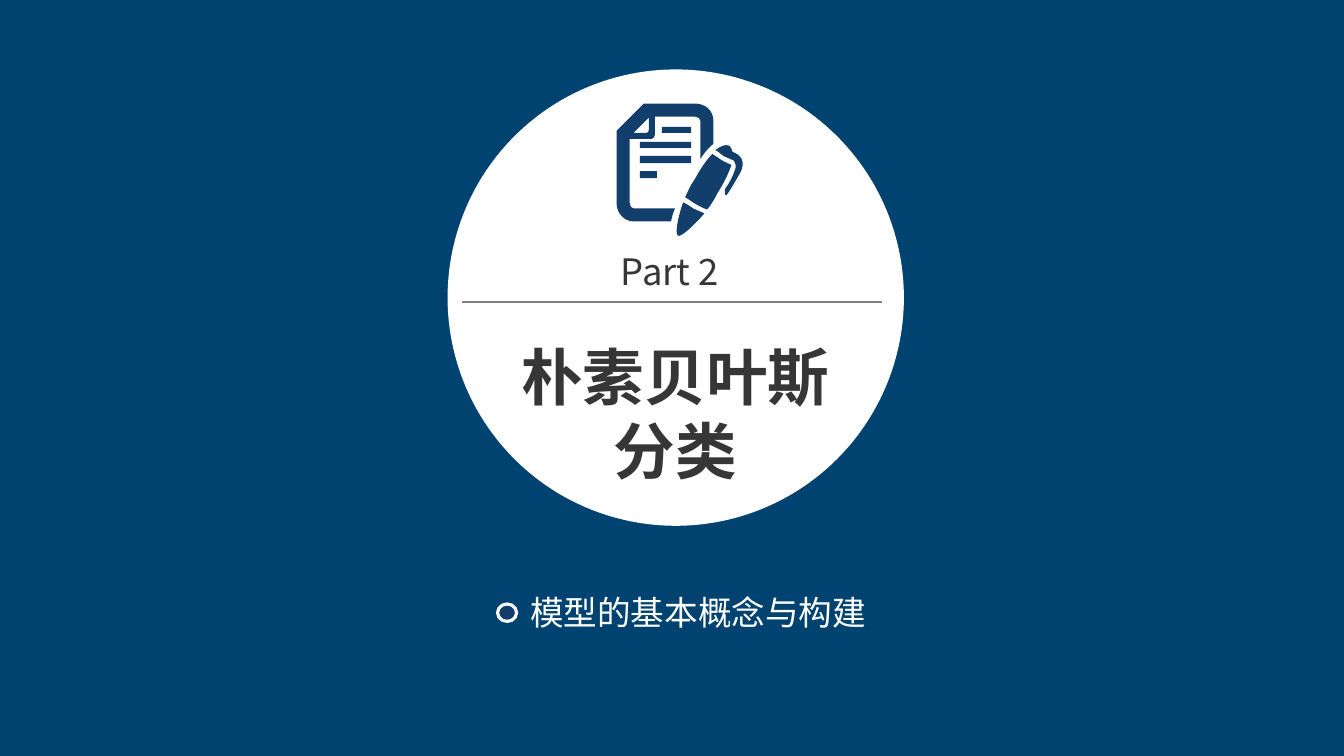
from dataclasses import dataclass

import lxml.etree
import pptx
import pptx.dml.color
import pptx.enum.shapes
import pptx.enum.text
import pptx.oxml.ns
import pptx.util
from pptx.util import Cm

SHAPE = pptx.enum.shapes.MSO_SHAPE
ALIGN = pptx.enum.text.PP_ALIGN


@dataclass(frozen=True)
class Theme:
    font: str = "Noto Sans CJK SC"
    backdrop: str = "009EB0"
    veil: str = "003366"
    navy: str = "113E6A"
    white: str = "FFFFFF"
    ink: str = "363636"
    rule: str = "808080"
    title_size: int = 44
    part_size: int = 26
    topic_size: int = 24


THEME = Theme()

# Icon outlines in hundredths of an inch: pairs are corners, sixes are curves
ICON_UNIT = Cm(0.0254)
PAPER = [(27, 0), (78, 0), (88, 0, 96, 7, 96, 17), (96, 40),
         (90, 45, 87, 49, 83, 55), (83, 17), (83, 15, 81, 13, 78, 13),
         (38, 13), (38, 31), (38, 33, 36, 35, 35, 35), (13, 35), (13, 99),
         (13, 102, 15, 104, 17, 104), (58, 104),
         (56, 108, 55, 112, 54, 117), (17, 117),
         (8, 117, 0, 109, 0, 99), (0, 27)]
FOLD = [(17, 29), (30, 29), (31, 29, 32, 28, 32, 26), (32, 14)]
PEN_CLIP = [(112, 42), (113, 44, 115, 45, 115, 48),
            (118, 49, 122, 51, 124, 55), (126, 59, 125, 64, 123, 68),
            (119, 75, 114, 84, 109, 91), (107, 92, 107, 86, 108, 84),
            (112, 79, 115, 73, 118, 64), (119, 59, 116, 57, 115, 55),
            (115, 55, 115, 55, 115, 56), (112, 55, 109, 53, 106, 52),
            (104, 50, 101, 48, 98, 46), (104, 42, 108, 40, 112, 42)]
PEN_BARREL = [(114, 61), (111, 69, 107, 78, 100, 89),
              (97, 95, 94, 100, 90, 105), (86, 104, 83, 102, 79, 100),
              (75, 98, 72, 95, 68, 93), (71, 87, 73, 81, 77, 76),
              (83, 65, 89, 56, 95, 50), (98, 52, 101, 54, 104, 56),
              (107, 58, 110, 59, 114, 61)]
PEN_NIB = [(87, 109), (75, 123, 63, 133, 61, 131),
           (58, 130, 60, 115, 66, 98), (70, 100, 73, 102, 76, 104),
           (80, 106, 83, 107, 87, 109)]
# Lines of writing: left, top, right, bottom
WRITING = [(45, 23, 74, 29), (23, 38, 74, 44),
           (23, 52, 74, 59), (23, 67, 40, 74)]


def rgb(value):
    return pptx.dml.color.RGBColor.from_string(value)


def add_xml(parent, tag, **attributes):
    return lxml.etree.SubElement(parent, pptx.oxml.ns.qn(tag), **attributes)


def style(shape, fill, line=None, width=0):
    shape.shadow.inherit = False
    shape.fill.solid()
    shape.fill.fore_color.rgb = rgb(fill)
    if line:
        shape.line.color.rgb = rgb(line)
        shape.line.width = pptx.util.Pt(width)
    else:
        shape.line.fill.background()


def add_preset(page, kind, left, top, width, height, fill, line=None, width_pt=0):
    shape = page.shapes.add_shape(kind, Cm(left), Cm(top), Cm(width), Cm(height))
    style(shape, fill, line, width_pt)
    return shape


def add_veil(page, width, height, opacity):
    veil = add_preset(page, SHAPE.RECTANGLE, 0, 0, width, height, THEME.veil)
    color = veil.fill._xPr.find(".//" + pptx.oxml.ns.qn("a:srgbClr"))
    add_xml(color, "a:alpha", val=str(opacity * 1000))


def add_rule(page, left, right, y):
    rule = page.shapes.add_connector(pptx.enum.shapes.MSO_CONNECTOR.STRAIGHT,
                                     Cm(left), Cm(y), Cm(right), Cm(y))
    rule.line.color.rgb = rgb(THEME.rule)
    rule.line.width = pptx.util.Pt(1)
    add_xml(rule._element.spPr, "a:effectLst")


def add_text(page, text, left, top, width, height, size, color,
             bold=False, align=ALIGN.LEFT, wrap=True, inset=True):
    box = page.shapes.add_textbox(Cm(left), Cm(top), Cm(width), Cm(height))
    frame = box.text_frame
    frame.word_wrap = wrap
    frame.auto_size = pptx.enum.text.MSO_AUTO_SIZE.SHAPE_TO_FIT_TEXT
    if not inset:
        frame.margin_left = frame.margin_right = 0
        frame.margin_top = frame.margin_bottom = 0
    para = frame.paragraphs[0]
    para.text = text
    para.alignment = align
    para.font.name = THEME.font
    para.font.size = pptx.util.Pt(size)
    para.font.bold = bold
    para.font.color.rgb = rgb(color)
    add_xml(para.font._element, "a:ea", typeface=THEME.font)


def scaled(numbers):
    return [number * ICON_UNIT for number in numbers]


def bend(segment, piece):
    """Turn a straight outline segment into a cubic curve."""
    segment.tag = pptx.oxml.ns.qn("a:cubicBezTo")
    segment.clear()
    for x, y in zip(scaled(piece[::2]), scaled(piece[1::2])):
        add_xml(segment, "a:pt", x=str(x), y=str(y))


def add_icon(page, left, top):
    bars = [[(x1, y1), (x2, y1), (x2, y2), (x1, y2)] for x1, y1, x2, y2 in WRITING]
    outlines = [PAPER, PEN_CLIP, PEN_BARREL, PEN_NIB, *bars, FOLD]
    builder = page.shapes.build_freeform(*scaled(PAPER[0]))
    for outline in outlines:
        start, *ends = [scaled(piece[-2:]) for piece in outline]
        if outline is not PAPER:
            builder.move_to(*start)
        builder.add_line_segments(ends, close=True)
    icon = builder.convert_to_shape(Cm(left), Cm(top))
    segments = list(icon._element.iter(pptx.oxml.ns.qn("a:lnTo")))
    pieces = [piece for outline in outlines for piece in outline[1:]]
    for segment, piece in zip(segments, pieces):
        if len(piece) == 6:
            bend(segment, piece)
    style(icon, THEME.navy)


def main():
    deck = pptx.Presentation()
    deck.slide_width, deck.slide_height = Cm(33.87), Cm(19.05)
    page = deck.slides.add_slide(deck.slide_layouts[6])

    # Tinted background
    page.background.fill.solid()
    page.background.fill.fore_color.rgb = rgb(THEME.backdrop)
    add_veil(page, 33.87, 19.05, opacity=86)

    # Disc with icon, part number and title
    add_preset(page, SHAPE.OVAL, 11.28, 1.75, 11.5, 11.5, THEME.white)
    add_icon(page, 15.54, 2.61)
    add_rule(page, 11.65, 22.23, 7.61)
    add_text(page, "朴素贝叶斯分类", 12.63, 8.42, 8.79, 4.01, THEME.title_size,
             THEME.ink, bold=True, align=ALIGN.CENTER)
    add_text(page, "Part 2", 15.65, 6.27, 2.59, 1.12, THEME.part_size,
             THEME.ink, wrap=False, inset=False)

    # Topic with ring marker
    add_text(page, "模型的基本概念与构建", 13.11, 14.78, 9.02, 1.27,
             THEME.topic_size, THEME.white)
    add_preset(page, SHAPE.OVAL, 12.54, 15.22, 0.48, 0.44, THEME.navy, THEME.white, 2.25)

    deck.save("out.pptx")


if __name__ == "__main__":
    main()
